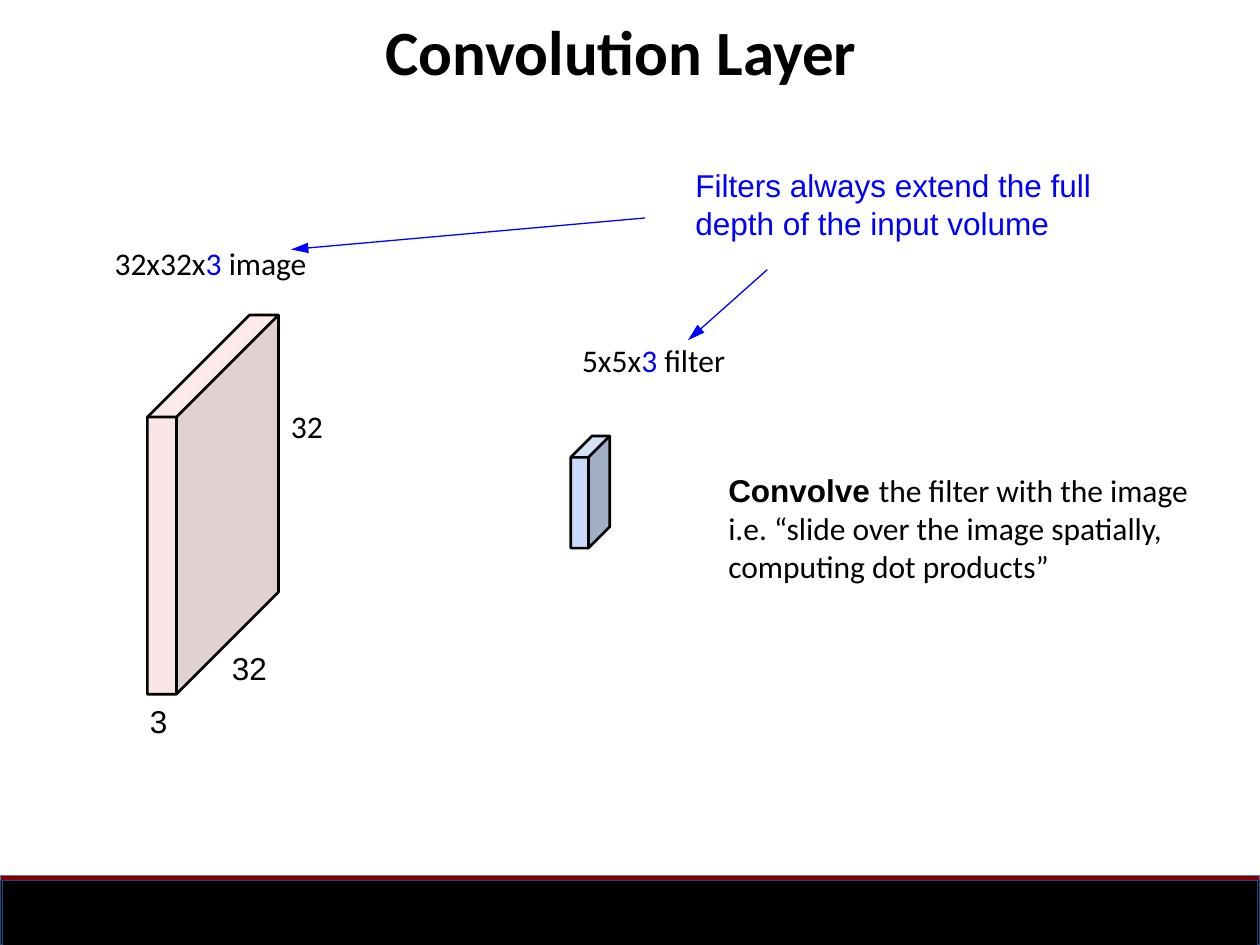
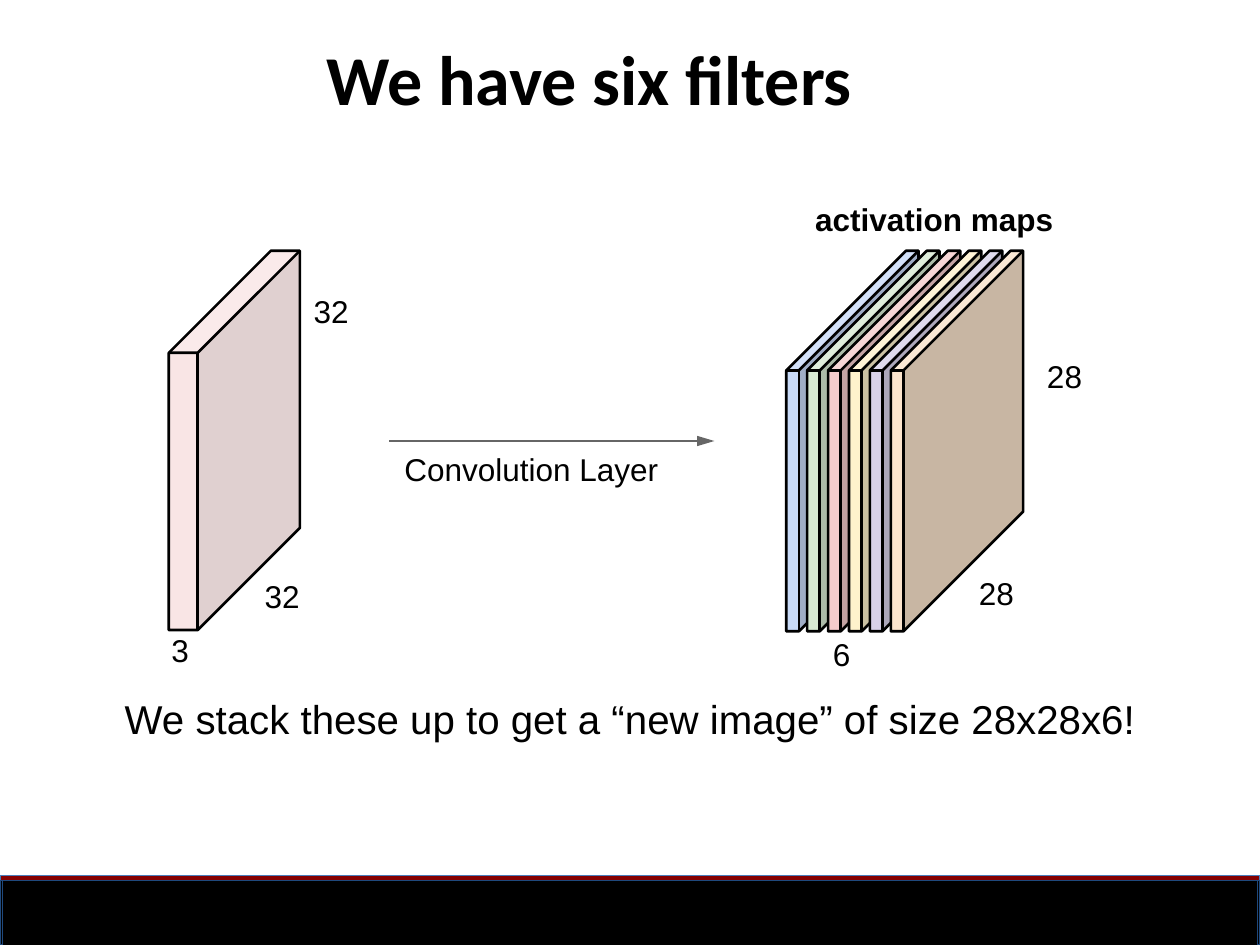
from dataclasses import dataclass

from lxml import etree
from pptx import Presentation
from pptx.dml.color import RGBColor
from pptx.enum.shapes import MSO_CONNECTOR, MSO_SHAPE
from pptx.enum.text import MSO_ANCHOR, MSO_AUTO_SIZE, PP_ALIGN
from pptx.oxml.ns import qn
from pptx.util import Inches, Pt

RECTANGLE = MSO_SHAPE.RECTANGLE
STRAIGHT = MSO_CONNECTOR.STRAIGHT
TOP = MSO_ANCHOR.TOP
NO_AUTOFIT = MSO_AUTO_SIZE.NONE
LEFT = PP_ALIGN.LEFT
TITLE_ONLY = 5


@dataclass(frozen=True)
class Theme:
    heading_font: str = "Calibri"
    label_font: str = "Arial"
    layer_title_size: float = 36
    filters_title_size: float = 40
    label_size: float = 18
    summary_size: float = 23
    ink: str = "000000"
    accent: str = "0000FF"
    flow: str = "666666"
    band_red: str = "850000"
    band_edge: str = "4A7EBB"
    band_frame: str = "1F497D"
    thin: float = 0.75
    thick: float = 1.5
    blue: tuple = ("C8DAF7", "A0AEC6", "D3E1F9")
    green: tuple = ("D8E9D3", "ACBAA8", "DFEDDB")
    pink: tuple = ("F4CCCC", "C3A3A3", "F6D6D6")
    yellow: tuple = ("FFF2CC", "CAC1A3", "FFF4D6")
    violet: tuple = ("D8D1E8", "ACA7BA", "DFDBED")
    orange: tuple = ("FBE4CD", "C8B6A3", "FBE9D6")


class Deck:
    def __init__(self, theme):
        self.theme = theme
        self.presentation = Presentation()
        self.presentation.slide_width = Inches(10)
        self.presentation.slide_height = Inches(7.5)
        self.page = None

    def add_page(self, title, left, top, width, height, size):
        theme = self.theme
        layout = self.presentation.slide_layouts[TITLE_ONLY]
        self.page = self.presentation.slides.add_slide(layout)
        box = self.page.shapes.title
        box.left, box.top = Inches(left), Inches(top)
        box.width, box.height = Inches(width), Inches(height)
        self.fill_text(box, [[(title, theme.heading_font, theme.ink, True)]], size)
        self.band(0, 6.95, 10, 0.55, theme.band_red, theme.band_edge)
        self.band(0, 6.99, 10, 0.51, theme.ink, theme.band_frame)
        self.band(0.02, 6.99, 9.96, 0.59, theme.ink, theme.band_frame)

    def band(self, left, top, width, height, fill, edge):
        shape = self.page.shapes.add_shape(
            RECTANGLE, Inches(left), Inches(top), Inches(width), Inches(height))
        self.paint(shape, fill, edge, self.theme.thin)

    def paint(self, shape, fill=None, edge=None, weight=None):
        shape.shadow.inherit = False
        if fill:
            shape.fill.solid()
            shape.fill.fore_color.rgb = RGBColor.from_string(fill)
        else:
            shape.fill.background()
        if edge:
            shape.line.color.rgb = RGBColor.from_string(edge)
            shape.line.width = Pt(weight)
        else:
            shape.line.fill.background()

    def fill_text(self, box, paragraphs, size):
        frame = box.text_frame
        frame.word_wrap = True
        frame.auto_size = NO_AUTOFIT
        frame.vertical_anchor = TOP
        frame.margin_left = frame.margin_top = Inches(0.01)
        frame.margin_right = frame.margin_bottom = 0
        for index, spans in enumerate(paragraphs):
            para = frame.add_paragraph() if index else frame.paragraphs[0]
            para.alignment = LEFT
            for text, font, color, bold in spans:
                span = para.add_run()
                span.text = text
                span.font.name = font
                span.font.size = Pt(size)
                span.font.bold = bold
                span.font.color.rgb = RGBColor.from_string(color)

    def text(self, left, top, width, height, paragraphs, size=None):
        box = self.page.shapes.add_textbox(
            Inches(left), Inches(top), Inches(width), Inches(height))
        self.fill_text(box, paragraphs, size or self.theme.label_size)

    def label(self, text, left, top, width=0.4, height=0.33,
              font=None, color=None, bold=False, size=None):
        span = (text, font or self.theme.label_font, color or self.theme.ink, bold)
        self.text(left, top, width, height, [[span]], size)

    def size_label(self, size, noun, left, top, width):
        font, ink = self.theme.heading_font, self.theme.ink
        spans = [(size, font, ink, False), ("3 ", font, self.theme.accent, False),
                 (noun, font, ink, False)]
        self.text(left, top, width, 0.33, [spans])

    def arrow(self, start, end, color):
        points = [Inches(value) for value in (*start, *end)]
        connector = self.page.shapes.add_connector(STRAIGHT, *points)
        connector.line.color.rgb = RGBColor.from_string(color)
        connector.line.width = Pt(self.theme.thin)
        properties = connector._element.spPr
        line = properties.find(qn("a:ln"))
        etree.SubElement(line, qn("a:tailEnd"), type="triangle", w="med", len="lg")
        etree.SubElement(properties, qn("a:effectLst"))

    def outline(self, shapes, contours):
        scaled = [[(Inches(x), Inches(y)) for x, y in contour] for contour in contours]
        builder = shapes.build_freeform(*scaled[0][0])
        builder.add_line_segments(scaled[0][1:], close=True)
        for contour in scaled[1:]:
            builder.move_to(*contour[0])
            builder.add_line_segments(contour[1:], close=False)
        return builder.convert_to_shape()

    def slab(self, left, top, thickness, depth, height, colors, opacity=None):
        shapes = self.page.shapes.add_group_shape().shapes
        edge, right = left + thickness, left + thickness + depth
        front_top, bottom = top + depth, top + depth + height
        front_left, front_right = (left, front_top), (edge, front_top)
        back_left, back_right = (left + depth, top), (right, top)
        foot_left, foot_right = (left, bottom), (edge, bottom)
        foot_back = (right, top + height)
        faces = (
            (front_left, front_right, foot_right, foot_left),
            (front_right, back_right, foot_back, foot_right),
            (front_left, back_left, back_right, front_right),
        )
        for face, color in zip(faces, colors):
            shape = self.outline(shapes, [face])
            self.paint(shape, color)
            if opacity:
                tint = shape._element.spPr.find(qn("a:solidFill")).find(qn("a:srgbClr"))
                etree.SubElement(tint, qn("a:alpha"), val=str(opacity * 1000))
        silhouette = (front_left, back_left, back_right, foot_back, foot_right, foot_left)
        inner_edges = [(front_left, front_right, back_right), (front_right, foot_right)]
        frame = self.outline(shapes, [silhouette, *inner_edges])
        self.paint(frame, None, self.theme.ink, self.theme.thick)

    def input_image(self, left, top):
        self.slab(left, top, 0.23, 0.81, 2.2, self.theme.pink, opacity=51)


def add_convolution_page(deck):
    theme = deck.theme
    deck.add_page("Convolution Layer", 3.05, 0.09, 4.73, 0.62, theme.layer_title_size)
    deck.input_image(1.17, 2.5)
    deck.slab(4.53, 3.46, 0.14, 0.17, 0.72, theme.blue)
    deck.size_label("32x32x", "image", 0.9, 1.93, 2)
    deck.size_label("5x5x", "filter", 4.61, 2.7, 1.5)
    deck.label("32", 2.3, 3.22, font=theme.heading_font)
    deck.label("32", 1.83, 5.14)
    deck.label("3", 1.18, 5.56)
    deck.text(5.77, 3.73, 3.78, 0.95, [
        [("Convolve ", theme.label_font, theme.ink, True),
         ("the filter with the image", theme.heading_font, theme.ink, False)],
        [("i.e. “slide over the image spatially, computing dot products”",
          theme.heading_font, theme.ink, False)],
    ])
    deck.label("Filters always extend the full depth of the input volume",
               5.51, 1.31, 3.2, 0.63, color=theme.accent)
    deck.arrow((6.09, 2.14), (5.46, 2.7), theme.accent)
    deck.arrow((5.12, 1.73), (2.31, 1.98), theme.accent)


def add_six_filters_page(deck):
    theme = deck.theme
    deck.add_page("We have six filters", 2.58, 0.27, 4.47, 0.7, theme.filters_title_size)
    deck.input_image(1.34, 1.99)
    map_colors = (theme.blue, theme.green, theme.pink,
                  theme.yellow, theme.violet, theme.orange)
    first_map, last_map = 6.24, 7.07
    step = (last_map - first_map) / (len(map_colors) - 1)
    for index, colors in enumerate(map_colors):
        deck.slab(first_map + index * step, 1.99, 0.1, 0.95, 2.07, colors)
    sizes = (("32", 2.09, 4.57), ("32", 2.48, 2.31), ("3", 1.35, 5),
             ("6", 6.6, 5.03), ("28", 7.76, 4.55), ("28", 8.3, 2.82))
    for number, left, top in sizes:
        deck.label(number, left, top)
    deck.arrow((3.09, 3.5), (5.67, 3.5), theme.flow)
    deck.label("Convolution Layer", 3.2, 3.56, 2.2)
    deck.label("activation maps", 6.46, 1.58, 2.1, bold=True)
    deck.label("We stack these up to get a “new image” of size 28x28x6!",
               0.98, 5.5, 8.4, 0.4, size=theme.summary_size)


def main():
    deck = Deck(Theme())
    add_convolution_page(deck)
    add_six_filters_page(deck)
    deck.presentation.save("out.pptx")


if __name__ == "__main__":
    main()
